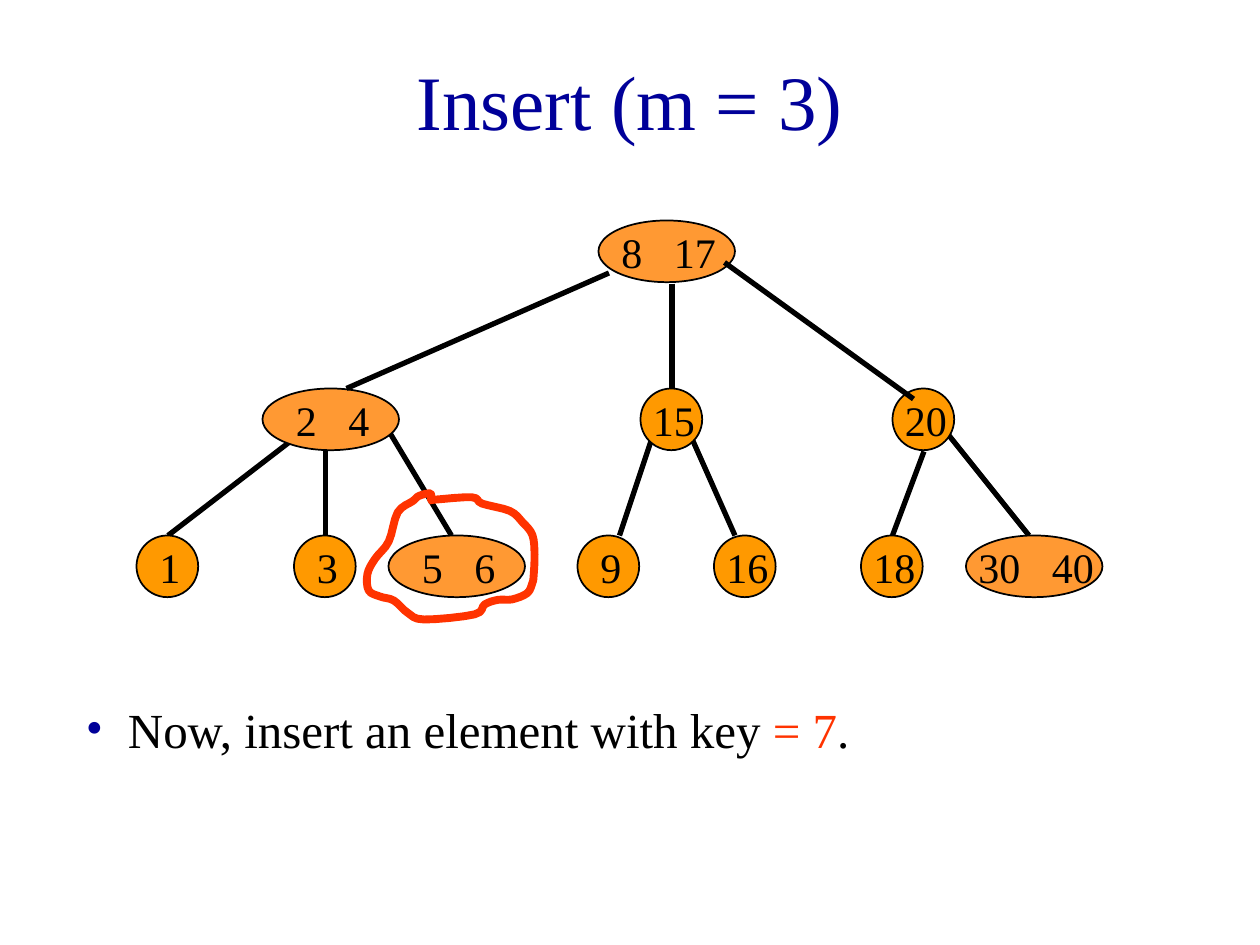
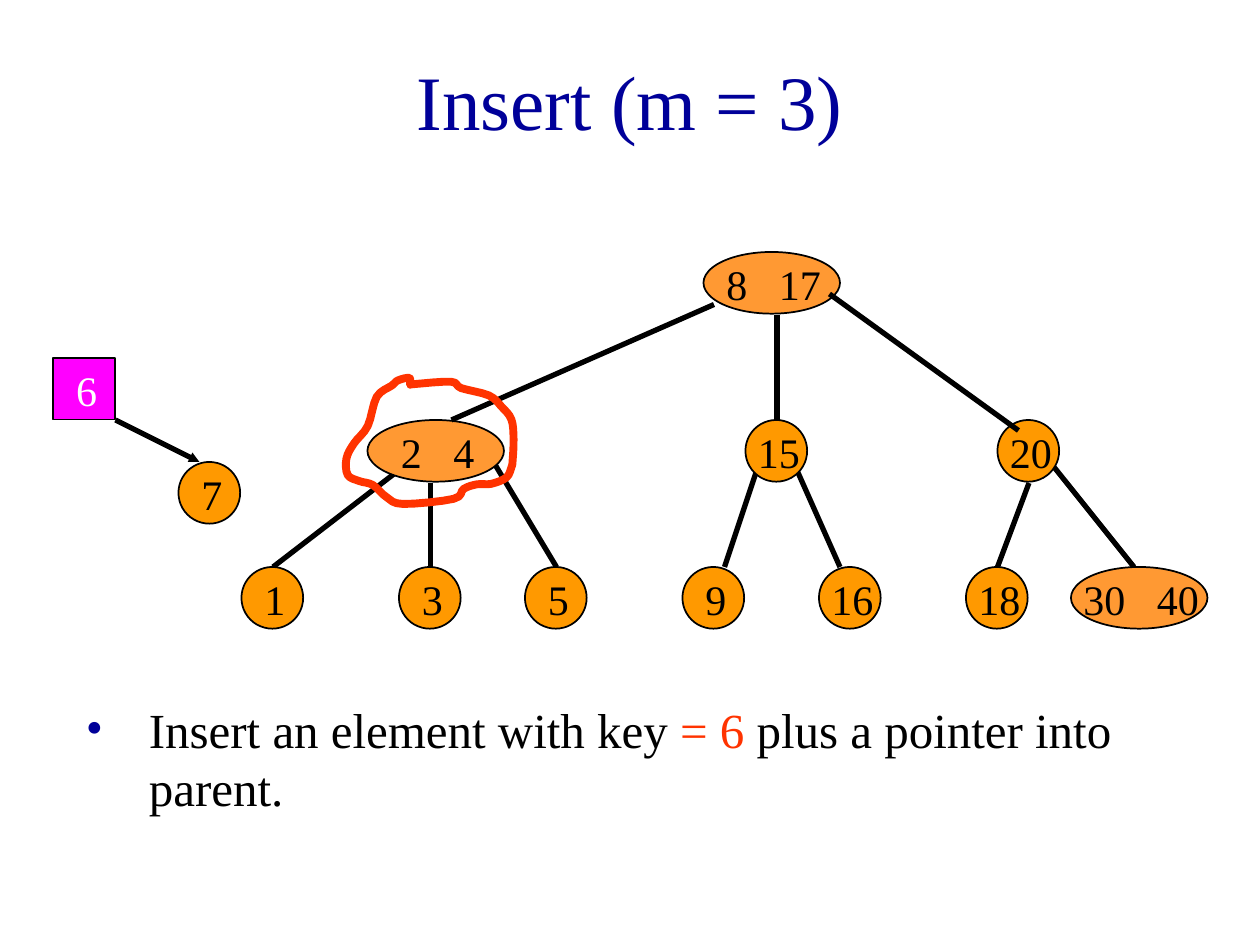
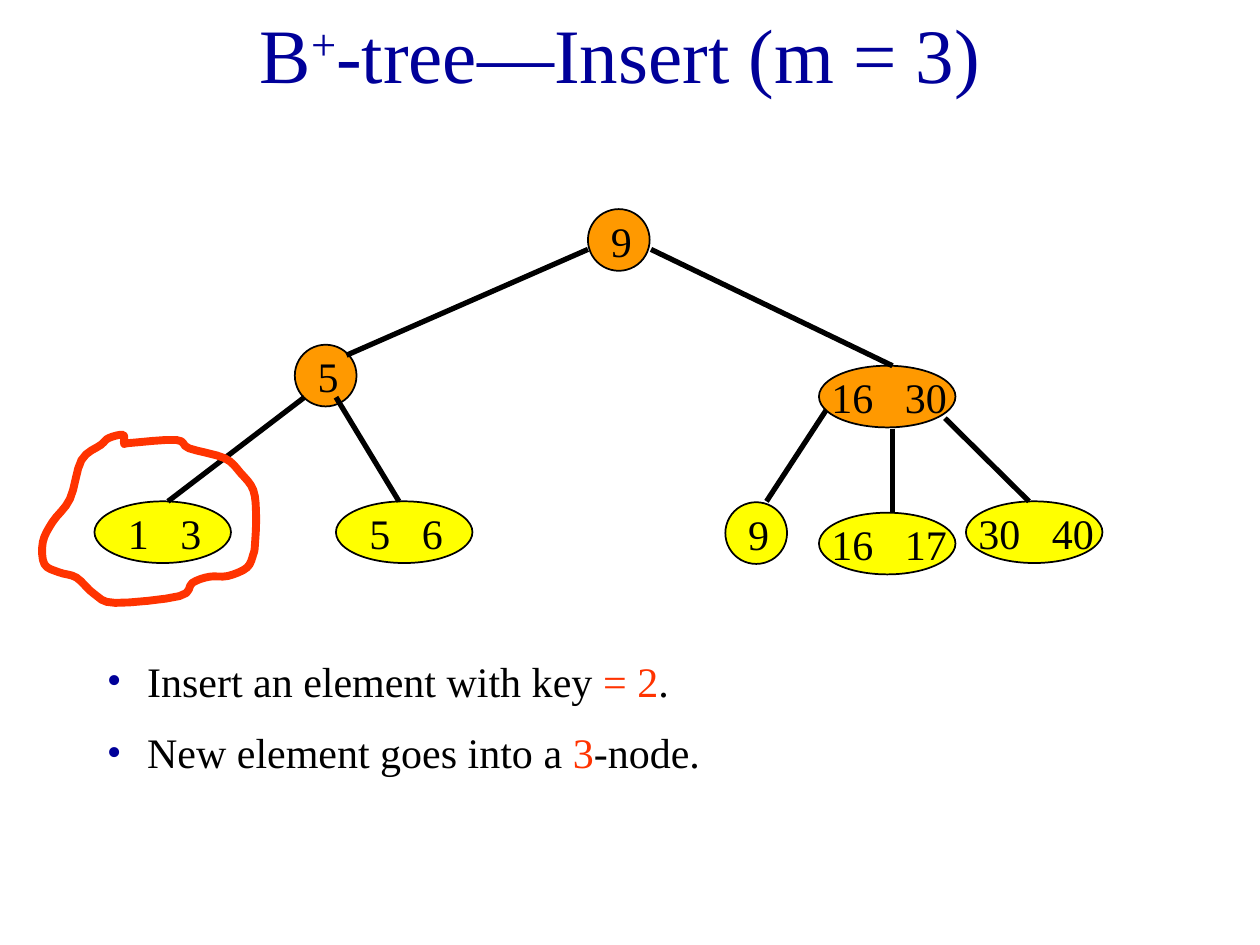
"""Build three slides on inserting keys into multiway search trees."""
import dataclasses

import lxml.etree
import pptx
import pptx.dml.color
import pptx.enum.shapes
import pptx.enum.text
import pptx.oxml.ns
import pptx.util

Pt = pptx.util.Pt
qn = pptx.oxml.ns.qn
SHAPE = pptx.enum.shapes.MSO_SHAPE


@dataclasses.dataclass(frozen=True)
class Theme:
    """Colours, type sizes and line widths shared by all slides."""
    font: str = "Times New Roman"
    ink: str = "000000"
    title: str = "000099"
    accent: str = "FF3300"
    circle: str = "FF9900"
    oval: str = "FF9933"
    leaf: str = "FFFF00"
    moved: str = "FF00FF"
    light: str = "FFFFFF"
    title_size: int = 44
    body_size: int = 28
    key_size: int = 24
    outline: float = 1
    edge: float = 3
    loop: float = 4.5


THEME = Theme()
NODE_HEIGHT = 35.25
NODE_WIDTHS = {1: NODE_HEIGHT, 2: 78}
DIGIT = 12
KEY_GAP = 18

TREE_NODES = [
    ("8 17", 342, 126), ("2 4", 150, 222), ("15", 366, 222), ("20", 510, 222),
    ("1", 78, 306), ("3", 168, 306), ("9", 330, 306), ("16", 408, 306),
    ("18", 492, 306), ("30 40", 552, 306),
]
TREE_ROOT_EDGES = [
    (348, 156, 198, 222), (384, 162, 384, 222), (414, 150, 522, 228),
]
TREE_LEAF_EDGES = [
    (174, 246, 96, 306), (186, 258, 186, 306), (222, 246, 258, 306),
    (372, 252, 354, 306), (396, 252, 420, 306),
    (528, 258, 510, 306), (540, 246, 588, 306),
]
BPLUS_INNER = [("9", 336, 119.5), ("5", 168.5, 197), ("16 30", 468, 209)]
BPLUS_LEAVES = [
    ("1 3", 54, 286.5), ("5 6", 192, 286.5), ("9", 414.5, 287),
    ("16 17", 468, 293), ("30 40", 552, 286.5),
]
BPLUS_EDGES = [
    (336, 142.5, 198, 203), (372, 142.5, 510, 209),
    (174, 227, 96, 286.5), (192, 227, 228, 286.5),
    (472, 234.5, 438, 286.5), (510, 245, 510, 293), (540, 239, 588, 286.5),
]
LOOP_SIZE = (96, 72)
LOOP_STEPS = 4
LOOP_POINTS = [
    (36, 0), (29.5, 1.4), (26, 4.3), (17.3, 10.8), (12.2, 27.4), (4.3, 37.4),
    (0, 46), (0.7, 55.4), (7.2, 58.9), (15.1, 61.2), (23, 68.2), (32.4, 72),
    (61.2, 69.1), (67, 63.4), (74.6, 60.8), (82.8, 60.5), (91.4, 56.9),
    (94.3, 51), (95, 46.8), (95.5, 35), (94.3, 23.8), (88.6, 16.4),
    (81.4, 10), (65.5, 5.8), (59.8, 2.2), (39, 3.5), (36.4, 3.7),
]


def rgb(color):
    """Turn a hex string into a colour."""
    return pptx.dml.color.RGBColor.from_string(color)


def child(parent, tag, **attrs):
    """Append an XML child with attributes."""
    return lxml.etree.SubElement(parent, qn(tag), attrs)


def format_paragraph(p, before, bullet_indent, tab):
    """Set proportional space before, a hanging bullet and a tab stop."""
    pPr = p._p.get_or_add_pPr()
    if before:
        child(child(pPr, "a:spcBef"), "a:spcPct", val=str(before * 1000))
    if bullet_indent:
        pPr.set("marL", str(Pt(bullet_indent)))
        pPr.set("indent", str(-Pt(bullet_indent)))
        child(child(pPr, "a:buClr"), "a:srgbClr", val=THEME.title)
        child(pPr, "a:buFont", typeface=THEME.font)
        child(pPr, "a:buChar", char="•")
    if tab:
        child(child(pPr, "a:tabLst"), "a:tab", pos=str(Pt(tab)), algn="l")


def add_text(slide, box, paragraphs, *, size, color=THEME.ink, before=0,
             bullet_indent=0, tab=0, align=None, anchor=None):
    """Add a text box; a run is a string or a (string, format) pair."""
    tf = slide.shapes.add_textbox(*map(Pt, box)).text_frame
    tf.word_wrap = True
    tf.vertical_anchor = anchor
    for i, runs in enumerate(paragraphs):
        p = tf.add_paragraph() if i else tf.paragraphs[0]
        p.alignment = align
        format_paragraph(p, before, bullet_indent, tab)
        for run in runs:
            text, fmt = (run, {}) if isinstance(run, str) else run
            r = p.add_run()
            r.text = text
            r.font.name = THEME.font
            r.font.size = Pt(size)
            r.font.color.rgb = rgb(fmt.get("color", color))
            if "raised" in fmt:
                r._r.get_or_add_rPr().set("baseline", str(fmt["raised"] * 1000))


def add_title(slide, runs, top=12, height=90):
    """Add the centred slide title."""
    add_text(slide, (54, top, 612, height), [runs], size=THEME.title_size,
             color=THEME.title, align=pptx.enum.text.PP_ALIGN.CENTER,
             anchor=pptx.enum.text.MSO_ANCHOR.MIDDLE)


def add_bullets(slide, box, paragraphs, size, indent):
    """Add bulleted paragraphs."""
    add_text(slide, box, paragraphs, size=size, before=50, bullet_indent=indent)


def accent(text):
    """Return a run in the accent colour."""
    return text, {"color": THEME.accent}


def add_node(slide, keys, left, top, fill=None, kind=SHAPE.OVAL, color=THEME.ink):
    """Add a tree node with one or two keys, centred by digit count."""
    parts = keys.split()
    digits = sum(map(len, parts))
    sp = slide.shapes.add_shape(kind, Pt(left), Pt(top),
                                Pt(NODE_WIDTHS[len(parts)]), Pt(NODE_HEIGHT))
    sp.shadow.inherit = False
    sp.fill.solid()
    sp.fill.fore_color.rgb = rgb(fill or (THEME.oval if len(parts) == 2 else THEME.circle))
    sp.line.color.rgb = rgb(THEME.ink)
    sp.line.width = Pt(THEME.outline)
    shift = (2 * len(parts) - digits) * DIGIT / 2
    tab = len(parts[0]) * DIGIT + KEY_GAP if len(parts) == 2 else 0
    width = {1: 30, 2: 60}.get(digits, 108)
    add_text(slide, (left + shift, top, width, 36), [["\t".join(parts)]],
             size=THEME.key_size, color=color, before=50, tab=tab)


def add_edge(slide, x1, y1, x2, y2, arrow=False):
    """Add a straight edge, with an arrowhead if asked."""
    c = slide.shapes.add_connector(pptx.enum.shapes.MSO_CONNECTOR.STRAIGHT,
                                   Pt(x1), Pt(y1), Pt(x2), Pt(y2))
    c.line.color.rgb = rgb(THEME.ink)
    c.line.width = Pt(THEME.edge)
    spPr = c.element.spPr
    if arrow:
        child(spPr.find(qn("a:ln")), "a:tailEnd", type="triangle", w="sm", len="sm")
    child(spPr, "a:effectLst")


def add_tree(slide, nodes, edges_below=(), edges_above=(), dx=0, dy=0):
    """Add nodes between two layers of edges, moved by an offset."""
    def add_edges(edges):
        for x1, y1, x2, y2 in edges:
            add_edge(slide, x1 + dx, y1 + dy, x2 + dx, y2 + dy)

    add_edges(edges_below)
    for keys, left, top, *fill in nodes:
        add_node(slide, keys, left + dx, top + dy, *fill)
    add_edges(edges_above)


def smooth_closed(points, steps):
    """Return a closed Catmull-Rom curve through the points."""
    curve = []
    for i, b in enumerate(points):
        a, c, d = (points[(i + k) % len(points)] for k in (-1, 1, 2))
        for t in (step / steps for step in range(steps)):
            curve.append(tuple(
                q + t * (r - p + t * (2 * p - 5 * q + 4 * r - s
                                      + t * (3 * q - p - 3 * r + s))) / 2
                for p, q, r, s in zip(a, b, c, d)))
    return curve


def add_loop(slide, left, top, width=LOOP_SIZE[0], height=LOOP_SIZE[1]):
    """Add the hand-drawn ring that marks a node."""
    points = [(Pt(left + x * width / LOOP_SIZE[0]), Pt(top + y * height / LOOP_SIZE[1]))
              for x, y in smooth_closed(LOOP_POINTS, LOOP_STEPS)]
    builder = slide.shapes.build_freeform(*points[0])
    builder.add_line_segments(points[1:], close=True)
    sp = builder.convert_to_shape()
    sp.shadow.inherit = False
    sp.fill.background()
    sp.line.color.rgb = rgb(THEME.accent)
    sp.line.width = Pt(THEME.loop)
    child(sp.element.spPr.find(qn("a:ln")), "a:round")


def build_insert_seven(slide):
    """Show the tree before key 7 goes in."""
    add_title(slide, ["Insert (m = 3)"])
    add_bullets(slide, (42, 396, 636, 41),
                [["Now, insert an element with key ", accent("= 7"), "."]],
                THEME.body_size, 24)
    add_tree(slide, TREE_NODES + [("5 6", 222, 306)], TREE_LEAF_EDGES, TREE_ROOT_EDGES)
    add_loop(slide, 210, 282)


def build_insert_six(slide):
    """Show the split node with key 6 moving to the parent."""
    add_title(slide, ["Insert (m = 3)"])
    add_bullets(slide, (42, 396, 636, 75),
                [["Insert an element with key ", accent("= 6 "),
                  "plus a pointer into parent."]],
                THEME.body_size, 36)
    add_tree(slide, TREE_NODES + [("5", 240, 306)], TREE_LEAF_EDGES, TREE_ROOT_EDGES,
             dx=60, dy=18)
    add_node(slide, "6", 30.5, 204.5, THEME.moved, SHAPE.RECTANGLE, THEME.light)
    add_node(slide, "7", 102, 264)
    add_edge(slide, 66, 240, 114, 264, arrow=True)
    add_loop(slide, 198, 216)


def build_bplus_insert(slide):
    """Show the B+-tree before key 2 goes in."""
    add_title(slide, ["B", ("+", {"raised": 30}), "-tree—Insert (m = 3) "],
              top=0, height=60)
    nodes = [(*node, fill)
             for group, fill in ((BPLUS_INNER, THEME.circle), (BPLUS_LEAVES, THEME.leaf))
             for node in group]
    add_tree(slide, nodes, edges_above=BPLUS_EDGES)
    add_bullets(slide, (54, 371, 480, 80),
                [["Insert an element with key ", accent("= 2"), "."],
                 ["New element goes into a ", accent("3"), "-node."]],
                THEME.key_size, 23)
    add_loop(slide, 24.5, 248.5, 122.5, 96)


def main():
    """Build and save the presentation."""
    prs = pptx.Presentation()
    prs.slide_width, prs.slide_height = Pt(720), Pt(540)
    for build in (build_insert_seven, build_insert_six, build_bplus_insert):
        build(prs.slides.add_slide(prs.slide_layouts[6]))
    prs.save("out.pptx")


if __name__ == "__main__":
    main()
